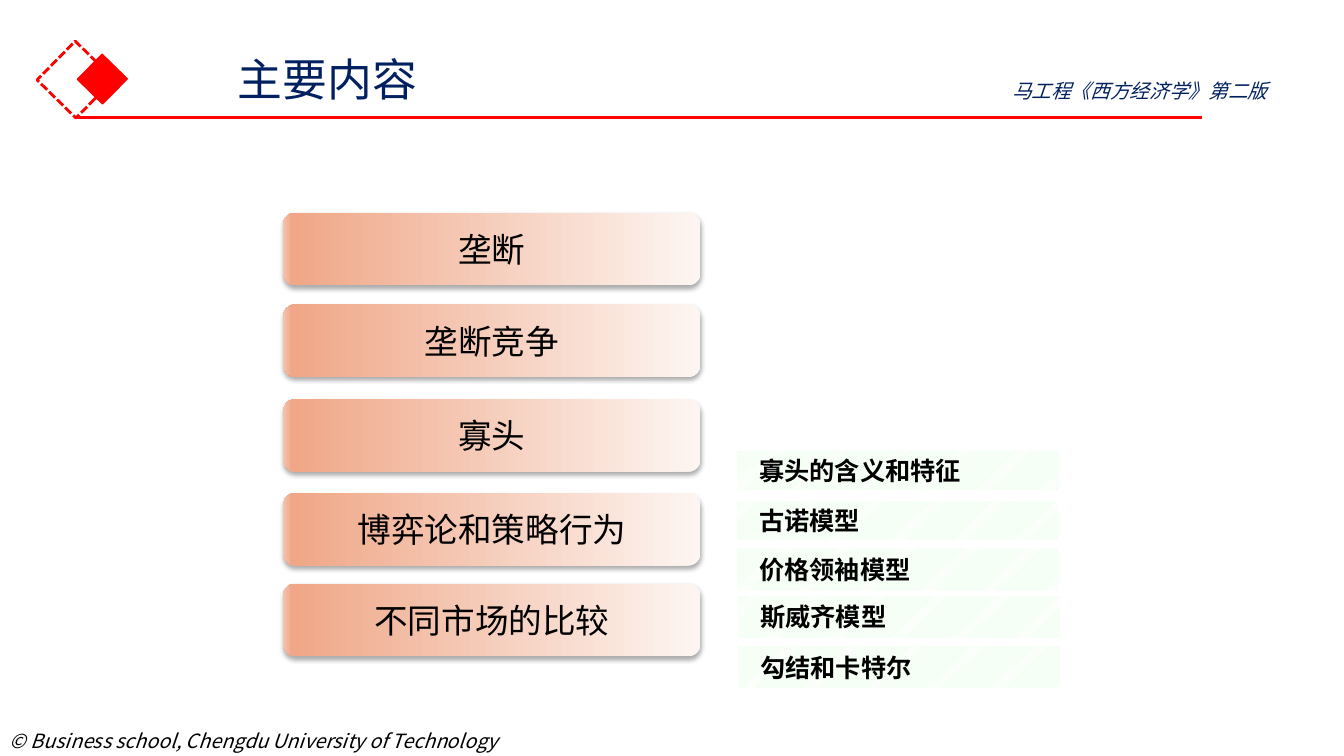
from copy import deepcopy
from dataclasses import dataclass

from lxml import etree
from pptx import Presentation
from pptx import util as u
from pptx.dml.color import RGBColor
from pptx.enum import dml, shapes, text
from pptx.oxml import parse_xml
from pptx.oxml.ns import nsdecls, qn

EMU_PER_PX = 9144
CJK_FONT = "Noto Sans CJK SC"
BLACK, NAVY, RED = "000000", "002060", "FF0000"
TOPIC_STOPS = ((0, "FDF5F2"), (0.98, "EFA787"), (1, "F4C4AF"))
SHADOW = f"""<a:effectLst {nsdecls("a")}>
  <a:outerShdw blurRad="44450" dist="27940" dir="5400000" algn="ctr" rotWithShape="0">
    <a:srgbClr val="000000"><a:alpha val="32000"/></a:srgbClr>
  </a:outerShdw>
</a:effectLst>"""


@dataclass
class Label:
    words: str
    left: int
    top: int
    width: int
    height: int
    size: int
    colour: str = BLACK
    italic: bool = False
    wrap: bool = True


@dataclass
class Diamond:
    left: int
    top: int
    side: int
    weight: float
    solid: bool


@dataclass
class Topic:
    words: str
    top: int


@dataclass
class Subtopic:
    words: str
    left: int
    top: int
    height: int


LABELS = (
    Label("© Business school, Chengdu University of Technology",
          0, 718, 531, 34, 14, italic=True, wrap=False),
    Label("主要内容", 226, 46, 496, 64, 32, NAVY),
    Label("马工程《西方经济学》第二版", 994, 73, 324, 34, 14, NAVY, italic=True),
)
DIAMONDS = (Diamond(48, 52, 54, 2, False), Diamond(84, 61, 35, 1, True))
TOPICS = (
    Topic("垄断", 211),
    Topic("垄断竞争", 302),
    Topic("寡头", 396),
    Topic("博弈论和策略行为", 489),
    Topic("不同市场的比较", 579),
)
SUBTOPICS = (
    Subtopic("寡头的含义和特征", 731, 447, 39),
    Subtopic("古诺模型", 731, 497, 39),
    Subtopic("价格领袖模型", 731, 544, 42),
    Subtopic("斯威齐模型", 732, 591, 42),
    Subtopic("勾结和卡特尔", 732, 641, 42),
)


def px(*lengths: int) -> list[u.Emu]:
    return [u.Emu(length * EMU_PER_PX) for length in lengths]


def colour(value: str) -> RGBColor:
    return RGBColor.from_string(value)


def assign(target, values: dict) -> None:
    for name, value in values.items():
        setattr(target, name, value)


def write(box, words: str, align, colour_hex: str, frame_values: dict,
          font_values: dict) -> None:
    assign(box.text_frame, frame_values)
    para = box.text_frame.paragraphs[0]
    para.alignment = align
    span = para.add_run()
    span.text = words
    assign(span.font, font_values)
    span.font.color.rgb = colour(colour_hex)
    east_asian = etree.SubElement(span.font._element, qn("a:ea"))
    east_asian.set("typeface", CJK_FONT)


def add_box(page, preset, left: int, top: int, width: int, height: int):
    box = page.shapes.add_shape(preset, *px(left, top, width, height))
    box.shadow.inherit = False
    return box


def draw_label(page, label: Label) -> None:
    box = page.shapes.add_textbox(
        *px(label.left, label.top, label.width, label.height))
    write(box, label.words, text.PP_ALIGN.LEFT, label.colour,
          {"word_wrap": label.wrap, "auto_size": text.MSO_AUTO_SIZE.SHAPE_TO_FIT_TEXT},
          {"name": CJK_FONT, "size": u.Pt(label.size), "italic": label.italic})


def draw_diamond(page, diamond: Diamond) -> None:
    box = add_box(page, shapes.MSO_SHAPE.RECTANGLE,
                  diamond.left, diamond.top, diamond.side, diamond.side)
    box.rotation = 314.5
    box.line.color.rgb = colour(RED)
    box.line.width = u.Pt(diamond.weight)
    if diamond.solid:
        box.fill.solid()
        box.fill.fore_color.rgb = colour(RED)
    else:
        box.fill.background()
        box.line.dash_style = dml.MSO_LINE.SQUARE_DOT


def draw_header_rule(page) -> None:
    rule = page.shapes.add_connector(
        shapes.MSO_CONNECTOR.STRAIGHT, *px(75, 117, 1192, 117))
    rule.line.color.rgb = colour(RED)
    rule.line.width = u.Pt(2.25)
    etree.SubElement(rule._element.spPr, qn("a:effectLst"))


def draw_topic(page, topic: Topic) -> None:
    box = add_box(page, shapes.MSO_SHAPE.ROUNDED_RECTANGLE, 281, topic.top, 414, 72)
    box.line.fill.background()
    box.fill.gradient()
    box.fill.gradient_angle = 180
    stop_list = box._element.spPr.find(".//" + qn("a:gsLst"))
    stop_list.append(deepcopy(stop_list[-1]))
    for stop, (position, value) in zip(box.fill.gradient_stops, TOPIC_STOPS):
        stop.position = position
        stop.color.rgb = colour(value)
    effects = box._element.spPr.find(qn("a:effectLst"))
    effects.getparent().replace(effects, parse_xml(SHADOW))
    write(box, topic.words, text.PP_ALIGN.CENTER, BLACK,
          {"word_wrap": True, "vertical_anchor": text.MSO_ANCHOR.MIDDLE},
          {"name": CJK_FONT, "size": u.Pt(24)})


def draw_subtopic(page, subtopic: Subtopic) -> None:
    box = add_box(page, shapes.MSO_SHAPE.RECTANGLE,
                  subtopic.left, subtopic.top, 319, subtopic.height)
    box.line.fill.background()
    box.fill.patterned()
    box.fill.pattern = dml.MSO_PATTERN.LIGHT_UPWARD_DIAGONAL
    box.fill.fore_color.rgb = colour("CCFFCC")
    box.fill.back_color.rgb = colour("FFFFFF")
    side, edge = px(22, 5)
    write(box, subtopic.words, text.PP_ALIGN.JUSTIFY, BLACK,
          {"word_wrap": True, "vertical_anchor": text.MSO_ANCHOR.MIDDLE,
           "margin_left": side, "margin_right": side,
           "margin_top": edge, "margin_bottom": edge},
          {"name": "Calibri", "size": u.Pt(18), "bold": True})


def main() -> None:
    deck = Presentation()
    deck.slide_width, deck.slide_height = px(1333, 750)
    page = deck.slides.add_slide(deck.slide_layouts[6])
    for label in LABELS:
        draw_label(page, label)
    for diamond in DIAMONDS:
        draw_diamond(page, diamond)
    draw_header_rule(page)
    for topic in TOPICS:
        draw_topic(page, topic)
    for subtopic in SUBTOPICS:
        draw_subtopic(page, subtopic)
    deck.save("out.pptx")


if __name__ == "__main__":
    main()
